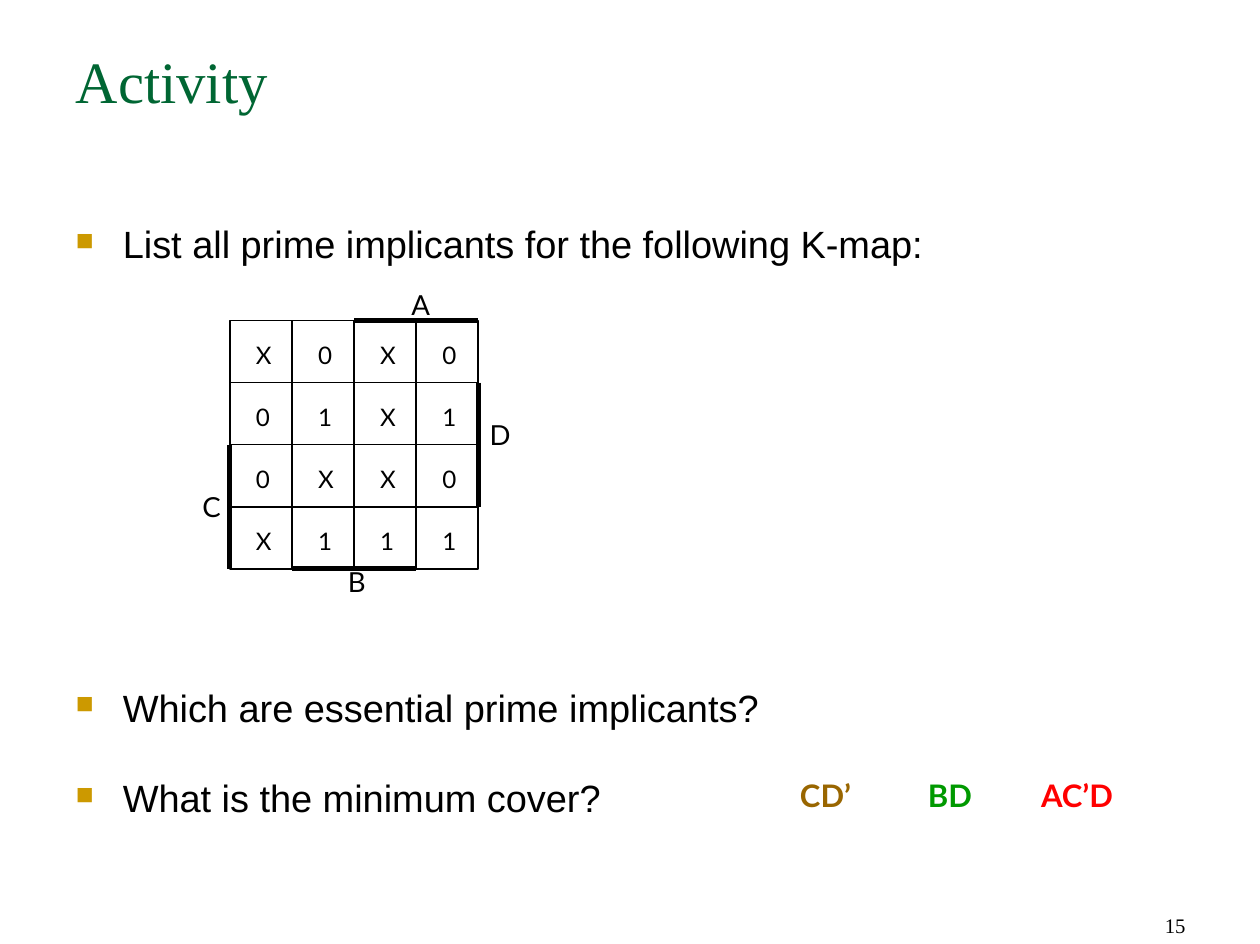
from itertools import product

from lxml.etree import SubElement
from pptx import Presentation
from pptx.dml.color import RGBColor
from pptx.enum.shapes import MSO_CONNECTOR, MSO_SHAPE
from pptx.enum.text import MSO_ANCHOR, MSO_AUTO_SIZE, PP_ALIGN
from pptx.oxml.ns import qn
from pptx.util import Inches, Pt

COLORS = {
    "text": "000000",
    "title": "006633",
    "bullet": "CC9900",
    "brown": "996600",
    "green": "009900",
    "red": "FF0000",
}
QUADRANT = 1.0
CELL = QUADRANT / 2
KMAP_VALUES = ["X0X0", "01X1", "0XX0", "X111"]


def format_paragraph(paragraph, font, size, color="text", bold=False):
    for run in paragraph.runs:
        run.font.name = font
        run.font.size = Pt(size)
        run.font.bold = bold
        run.font.color.rgb = RGBColor.from_string(COLORS[color])


def set_frame(text_frame, insets=(0.1, 0.05), wrap=True):
    text_frame.word_wrap = wrap
    text_frame.auto_size = MSO_AUTO_SIZE.NONE
    text_frame.margin_left = text_frame.margin_right = Inches(insets[0])
    text_frame.margin_top = text_frame.margin_bottom = Inches(insets[1])
    text_frame.vertical_anchor = MSO_ANCHOR.TOP


def add_text(slide, box, text, font, size, color="text", bold=False, **frame):
    text_box = slide.shapes.add_textbox(*map(Inches, box))
    set_frame(text_box.text_frame, **frame)
    text_box.text_frame.text = text
    for paragraph in text_box.text_frame.paragraphs:
        format_paragraph(paragraph, font, size, color, bold)
    return text_box.text_frame


def add_line(slide, start, end, width):
    line = slide.shapes.add_connector(
        MSO_CONNECTOR.STRAIGHT, *map(Inches, (*start, *end)))
    line.line.color.rgb = RGBColor.from_string(COLORS["text"])
    line.line.width = Pt(width)
    SubElement(line._element.spPr, qn("a:effectLst"))
    return line


def join_sides(slide, first, first_side, second, second_side, width):
    line = add_line(slide, (0, 0), (0, 0), width)
    line.begin_connect(first, first_side)
    line.end_connect(second, second_side)


def add_title(slide, box):
    title = slide.shapes.title
    title.left, title.top, title.width, title.height = map(Inches, box)
    set_frame(title.text_frame)
    title.text_frame.text = "Activity"
    paragraph = title.text_frame.paragraphs[0]
    paragraph.alignment = PP_ALIGN.LEFT
    format_paragraph(paragraph, "Times New Roman", 34, "title")


def add_questions(slide, box):
    questions = {
        "List all prime implicants for the following K-map:": 0,
        "Which are essential prime implicants?": 245,
        "What is the minimum cover?": 28.7,
    }
    text_frame = add_text(slide, box, "\n".join(questions), "Arial", 22)
    for paragraph, space in zip(text_frame.paragraphs, questions.values()):
        properties = paragraph._p.get_or_add_pPr()
        properties.set("marL", str(Inches(0.38)))
        properties.set("indent", str(-Inches(0.38)))
        bullet_color = SubElement(properties, qn("a:buClr"))
        SubElement(bullet_color, qn("a:srgbClr"), val=COLORS["bullet"])
        SubElement(properties, qn("a:buSzPct"), val="65000")
        SubElement(properties, qn("a:buChar"), char="■")
        paragraph.line_spacing = 0.9
        paragraph.space_before = Pt(space)


def add_quadrant(slide, left, top, rows):
    """Draw a two-by-two block of cells and return its frame."""
    frame = slide.shapes.add_shape(
        MSO_SHAPE.RECTANGLE, *map(Inches, (left, top, QUADRANT, QUADRANT)))
    frame.shadow.inherit = False
    frame.fill.background()
    frame.line.color.rgb = RGBColor.from_string(COLORS["text"])
    frame.line.width = Pt(1)
    join_sides(slide, frame, 0, frame, 2, 1)
    join_sides(slide, frame, 1, frame, 3, 1)

    text = "\n".join("\t".join(row) for row in rows)
    text_frame = add_text(slide, (left + 0.19, top + 0.11, 0.9, 0.89), text,
                          "Lato", 14, insets=(0.02, 0.03))
    for index, paragraph in enumerate(text_frame.paragraphs):
        tabs = SubElement(paragraph._p.get_or_add_pPr(), qn("a:tabLst"))
        SubElement(tabs, qn("a:tab"), pos=str(Inches(CELL)), algn="l")
        paragraph.line_spacing = Pt(18)
        paragraph.space_before = Pt(18 * index)
    return frame


def add_kmap(slide, left, top):
    quadrants = {}
    for row, column in product(range(2), repeat=2):
        rows = [values[2 * column:2 * column + 2]
                for values in KMAP_VALUES[2 * row:2 * row + 2]]
        quadrants[row, column] = add_quadrant(
            slide, left + column * QUADRANT, top + row * QUADRANT, rows)

    middle_x, middle_y = left + QUADRANT, top + QUADRANT
    right, bottom = left + 2 * QUADRANT, top + 2 * QUADRANT
    add_line(slide, (middle_x, top), (right, top), 3)
    add_line(slide, (left, middle_y), (left, bottom), 3)
    join_sides(slide, quadrants[0, 1], 3, quadrants[1, 1], 3, 3)
    join_sides(slide, quadrants[1, 0], 2, quadrants[1, 1], 2, 3)

    variables = {
        "A": (right - 0.56, top - 0.25),
        "B": (middle_x - 0.07, bottom - 0.02),
        "C": (left - 0.24, middle_y + 0.38),
        "D": (right + 0.07, middle_y - 0.2),
    }
    for name, position in variables.items():
        text_frame = add_text(slide, (*position, 0.3, 0.36), name,
                              "Lato", 16, insets=(0.02, 0.03))
        text_frame.paragraphs[0].line_spacing = Pt(16)


def add_cover(slide, top):
    terms = [("CD’", 6.34, 0.63, "brown"), ("BD", 7.37, 0.56, "green"),
             ("AC’D", 8.28, 0.8, "red")]
    for term, left, width, color in terms:
        add_text(slide, (left, top, width, 0.4), term, "Lato", 18, color,
                 bold=True, wrap=False)


def add_page_number(slide, box):
    text_frame = add_text(slide, box, "15", "Times New Roman", 12)
    text_frame.vertical_anchor = MSO_ANCHOR.BOTTOM
    text_frame.paragraphs[0].alignment = PP_ALIGN.RIGHT


def main():
    presentation = Presentation()
    presentation.slide_width = Inches(10.14)
    presentation.slide_height = Inches(7.6)
    slide = presentation.slides.add_slide(presentation.slide_layouts[5])
    add_title(slide, (0.51, 0.31, 9.12, 1.26))
    add_questions(slide, (0.51, 1.77, 9.12, 5.02))
    add_kmap(slide, 1.85, 2.58)
    add_cover(slide, 6.2)
    add_page_number(slide, (7.27, 7.09, 2.37, 0.51))
    presentation.save("out.pptx")


if __name__ == "__main__":
    main()
